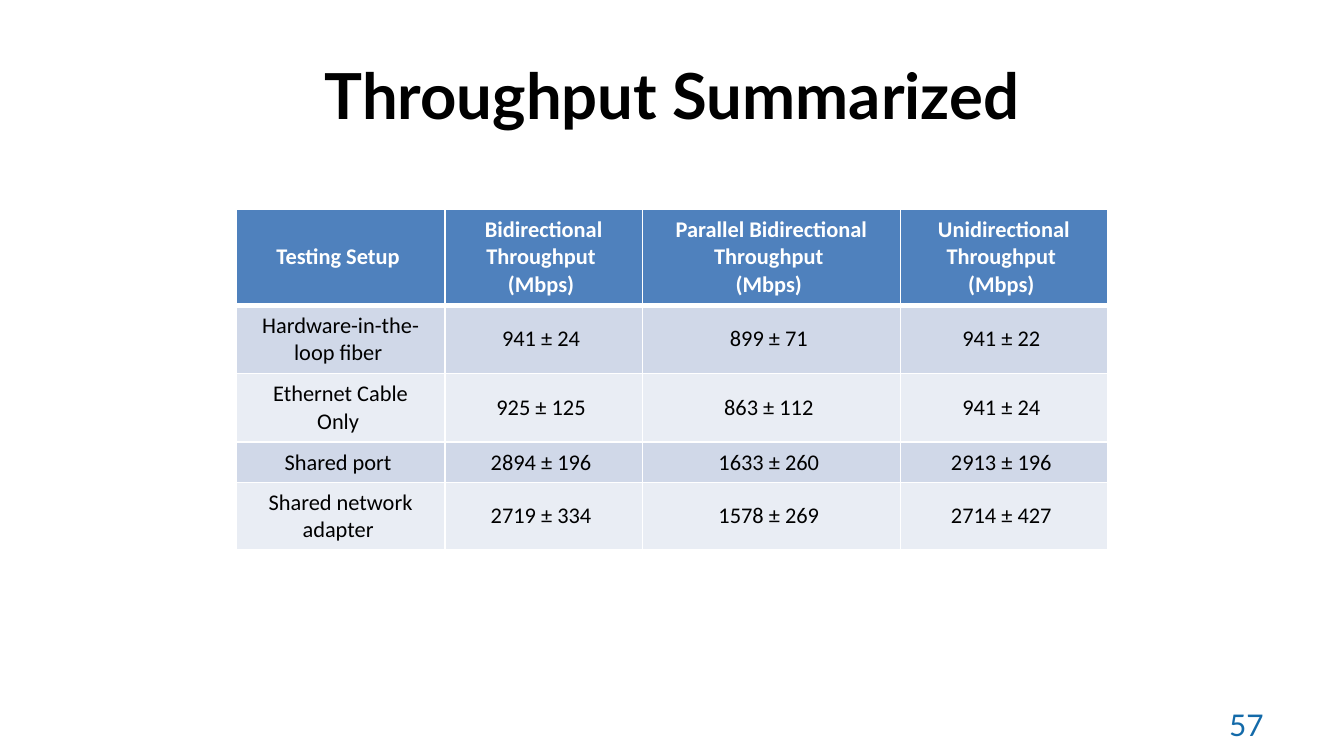
from pptx import Presentation
from pptx.dml.color import RGBColor
from pptx.enum.text import MSO_ANCHOR as Anchor, PP_ALIGN as Align
from pptx.oxml.ns import qn
from pptx.util import Inches, Pt
from lxml.etree import SubElement

COLORS = {
    "black": "000000",
    "white": "FFFFFF",
    "number": "136AA9",
    "header": "4F81BD",
    "odd": "D0D8E8",
    "even": "E9EDF4",
}
NBSP = chr(160)
COLUMN_WIDTHS = [1.55, 1.47, 1.92, 1.54]
ROW_HEIGHTS = [0.71, 0.51, 0.51, 0.3, 0.5]
ROWS = [
    ["Testing Setup", "Bidirectional Throughput\n(Mbps)",
     "Parallel Bidirectional Throughput\n(Mbps)", "Unidirectional Throughput\n(Mbps)"],
    ["Hardware-in-the-loop fiber", "941 ± 24", "899 ± 71", "941 ± 22"],
    ["Ethernet Cable Only", "925 ± 125", "863 ± 112", "941 ± 24"],
    ["Shared port", "2894 ± 196", "1633 ± 260", "2913 ± 196"],
    ["Shared network adapter", "2719 ± 334", "1578 ± 269", "2714 ± 427"],
]


def write(frame, text, font="Lato", size=12, color="black", bold=False,
          align=Align.CENTER, ending=""):
    """Fill a text frame with one formatted paragraph per line."""
    for index, line in enumerate(text.split("\n")):
        para = frame.add_paragraph() if index else frame.paragraphs[0]
        para.alignment = align
        span = para.add_run()
        span.text = line + ending
        span.font.name = font
        span.font.size = Pt(size)
        span.font.bold = bold
        span.font.color.rgb = RGBColor.from_string(COLORS[color])


class SlideBuilder:
    """Hold the style and the current slide."""

    def __init__(self, deck):
        """Add a blank page to the deck."""
        self.page = deck.slides.add_slide(deck.slide_layouts[6])

    def text(self, text, left, top, width, height, anchor=Anchor.TOP, **style):
        """Add a wrapped text box."""
        box = self.page.shapes.add_textbox(
            Inches(left), Inches(top), Inches(width), Inches(height))
        box.text_frame.word_wrap = True
        box.text_frame.vertical_anchor = anchor
        write(box.text_frame, text, **style)

    def border(self, cell, top, bottom):
        """Draw white cell borders with given top and bottom widths."""
        properties = cell._tc.get_or_add_tcPr()
        widths = {"a:lnL": 1, "a:lnR": 1, "a:lnT": top, "a:lnB": bottom}
        for position, (tag, width) in enumerate(widths.items()):
            line = SubElement(properties, qn(tag), w=str(Pt(width)))
            fill = SubElement(line, qn("a:solidFill"))
            SubElement(fill, qn("a:srgbClr"), val=COLORS["white"])
            properties.insert(position, line)

    def table(self, rows, left, top, widths, heights):
        """Add a banded table with a header row."""
        table = self.page.shapes.add_table(
            len(rows), len(widths), Inches(left), Inches(top),
            Inches(sum(widths)), Inches(sum(heights))).table
        for column, width in zip(table.columns, widths):
            column.width = Inches(width)
        for index, (row, height) in enumerate(zip(table.rows, heights)):
            row.height = Inches(height)
            header = index == 0
            band = "header" if header else "odd" if index % 2 else "even"
            for cell, text in zip(row.cells, rows[index]):
                cell.vertical_anchor = Anchor.MIDDLE
                cell.fill.solid()
                cell.fill.fore_color.rgb = RGBColor.from_string(COLORS[band])
                self.border(cell, top=3 if index == 1 else 1, bottom=3 if header else 1)
                write(cell.text_frame, text, font="Calibri", bold=header,
                      color="white" if header else "black", ending=NBSP)


def main():
    """Build and save the slide."""
    deck = Presentation()
    deck.slide_width = Inches(10)
    deck.slide_height = deck.slide_width * 9 // 16
    builder = SlideBuilder(deck)
    builder.text("Throughput Summarized", 0.5, 0.23, 9, 0.94,
                 anchor=Anchor.MIDDLE, size=34, bold=True)
    builder.text("57", 7.17, 5.21, 2.33, 0.3, size=16, color="number", align=Align.RIGHT)
    builder.table(ROWS, 1.76, 1.56, COLUMN_WIDTHS, ROW_HEIGHTS)
    deck.save("out.pptx")


if __name__ == "__main__":
    main()
